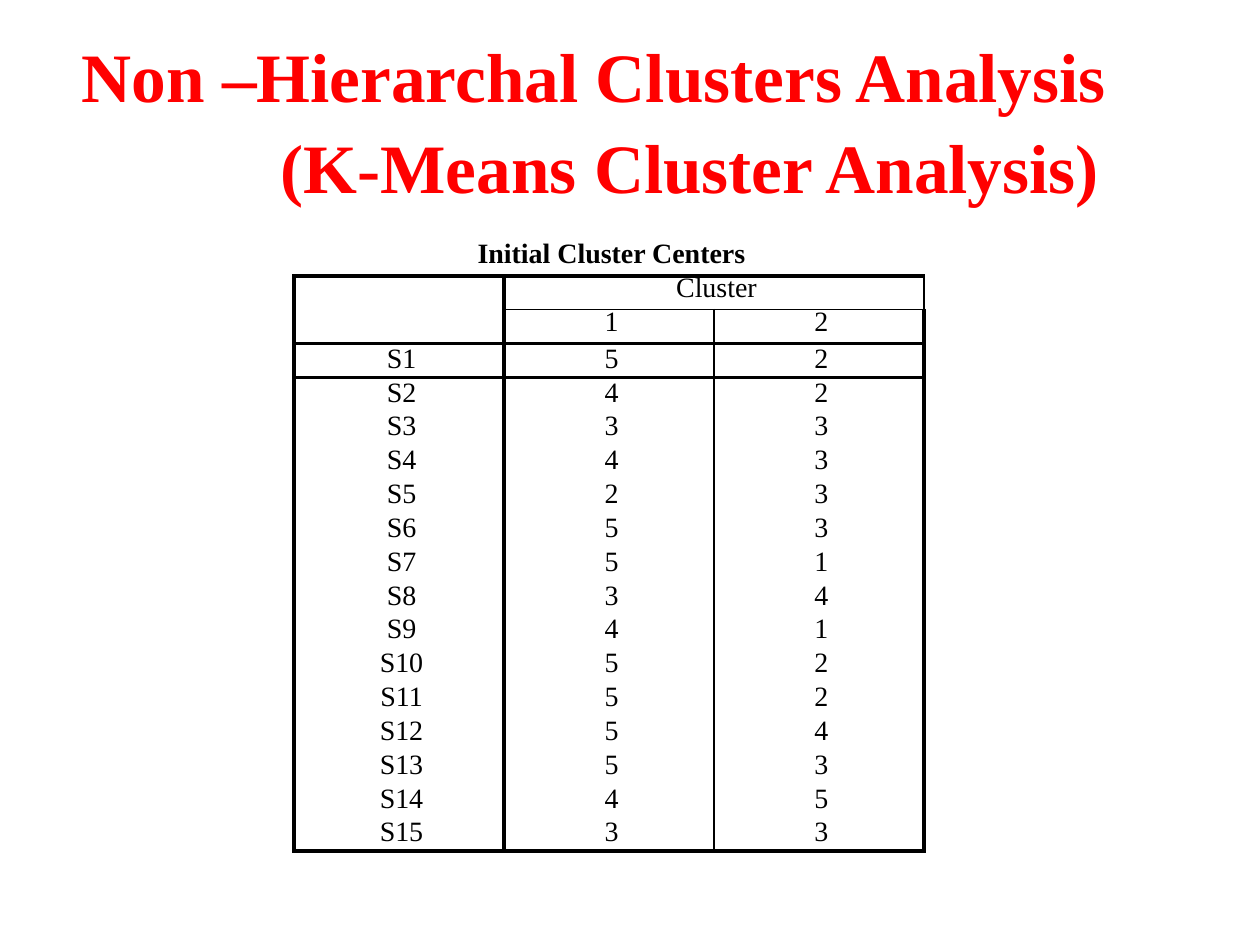
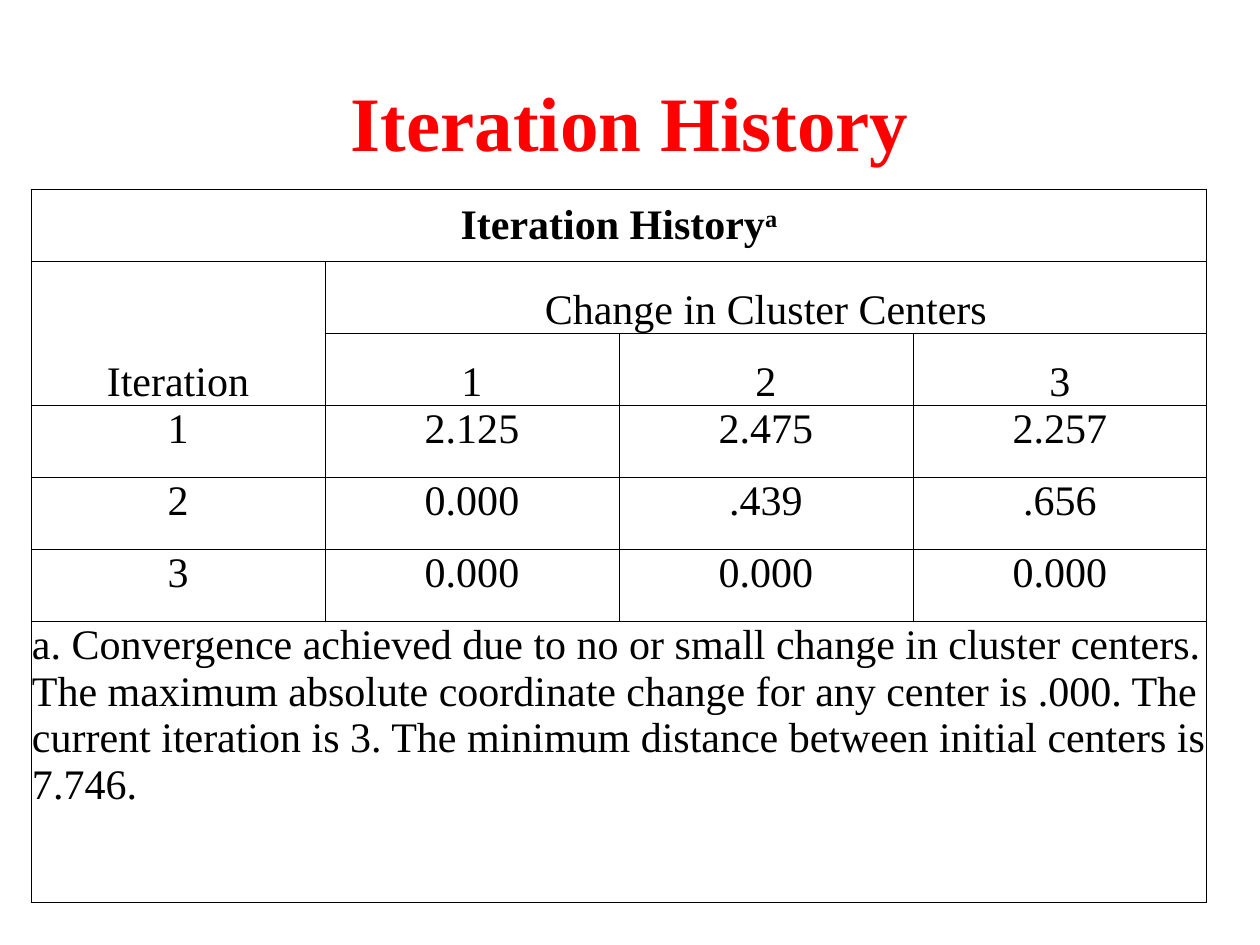
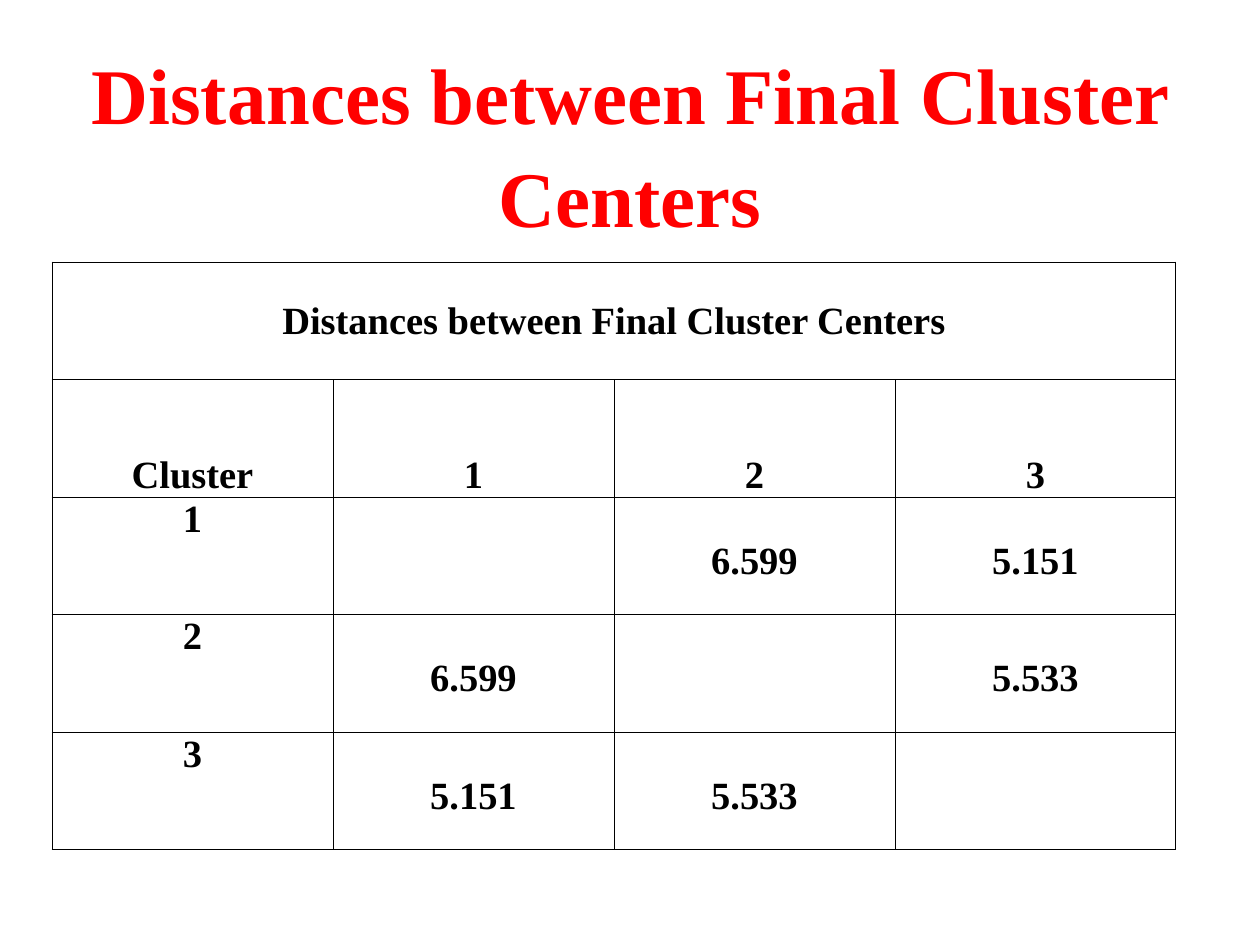
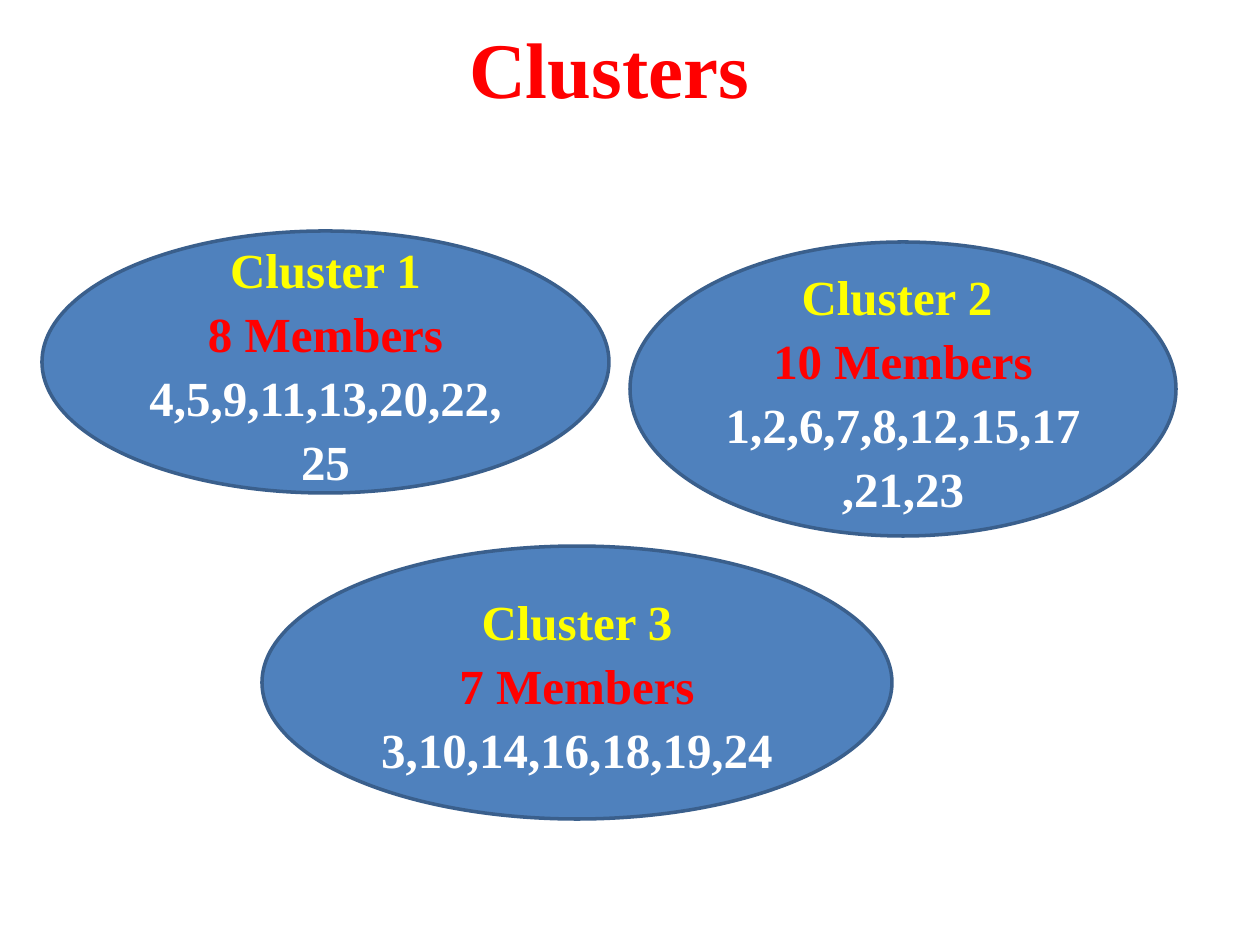
from lxml import etree
from pptx import Presentation
from pptx import util as u
from pptx.dml.color import RGBColor
from pptx.enum import shapes, text
from pptx.oxml import ns

COLORS = {
    "title": "FF0000",
    "ink": "000000",
    "paper": "FFFFFF",
    "oval": "4F81BD",
    "oval_line": "3A5F8C",
    "name": "FFFF00",
    "count": "FF0000",
    "members": "FFFFFF",
}
FONT = "Times New Roman"
PLAIN_TABLE = "{2D5ABB26-0587-4C30-8999-92F81FD0307C}"
TEXT_LEADING = 1.09
THICK, THIN, HAIR = 2.25, 1, 0.5
CENTER = text.PP_ALIGN.CENTER
TOP, MIDDLE, BOTTOM = (text.MSO_ANCHOR.TOP, text.MSO_ANCHOR.MIDDLE,
                       text.MSO_ANCHOR.BOTTOM)

CENTERS = [(5, 2), (4, 2), (3, 3), (4, 3), (2, 3), (5, 3), (5, 1), (3, 4),
           (4, 1), (5, 2), (5, 2), (5, 4), (5, 3), (4, 5), (3, 3)]
ITERATIONS = [
    ["1", "2.125", "2.475", "2.257"],
    ["2", "0.000", ".439", ".656"],
    ["3", "0.000", "0.000", "0.000"],
]
CONVERGENCE = (
    "a. Convergence achieved due to no or small change in cluster centers. "
    "The maximum absolute coordinate change for any center is .000. "
    "The current iteration is 3. "
    "The minimum distance between initial centers is 7.746.")
DISTANCES = [
    ["1", "", "6.599", "5.151"],
    ["2", "6.599", "", "5.533"],
    ["3", "5.151", "5.533", ""],
]
CLUSTERS = [
    ((42, 231, 567, 262),
     ["Cluster 1", "8 Members", "4,5,9,11,13,20,22,25"]),
    ((630, 242, 546, 294),
     ["Cluster 2 ", "10 Members", "1,2,6,7,8,12,15,17,21,23"]),
    ((262, 546, 630, 273),
     ["Cluster 3", "7 Members", "3,10,14,16,18,19,24"]),
]


def px(length):
    return u.Emu(round(length * 914400 / 126))


def color(name):
    return RGBColor.from_string(COLORS[name])


def style(para, size, ink="ink", bold=False, align=CENTER):
    para.alignment = align
    for span in para.runs:
        span.font.name = FONT
        span.font.size = u.Pt(size)
        span.font.bold = bold
        span.font.color.rgb = color(ink)


def indent(para, left=0, right=0):
    props = para._p.get_or_add_pPr()
    props.set("marL", str(px(left)))
    props.set("marR", str(px(right)))


def add_page(deck):
    return deck.slides.add_slide(deck.slide_layouts[6])


def add_title(page, box, lines, size):
    frame = page.shapes.add_textbox(*map(px, box)).text_frame
    frame.word_wrap = True
    frame.vertical_anchor = MIDDLE
    frame.text = "\n".join(lines)
    for para in frame.paragraphs:
        para.line_spacing = TEXT_LEADING
        style(para, size, "title", bold=True)
    return frame.paragraphs


def add_grid(page, box, heights, columns):
    """Add an unstyled table whose row heights are shares of the box."""
    left, top, width, height = box
    grid = page.shapes.add_table(len(heights), columns,
                                 *map(px, box)).table
    grid._tbl.tblPr.find(ns.qn("a:tableStyleId")).text = PLAIN_TABLE
    grid.first_row = grid.horz_banding = False
    for column in grid.columns:
        column.width = px(width / columns)
    for row, share in zip(grid.rows, heights):
        row.height = px(height * share / sum(heights))
    return grid


def merge(grid, first, last):
    grid.cell(*first).merge(grid.cell(*last))


def set_borders(cell, widths):
    """Draw the left, right, top and bottom borders; 0 leaves one out."""
    props = cell._tc.get_or_add_tcPr()
    for side, width in zip("LRTB", widths):
        if width:
            line = etree.SubElement(props, ns.qn(f"a:ln{side}"),
                                    w=str(u.Pt(width)))
            fill = etree.SubElement(line, ns.qn("a:solidFill"))
            etree.SubElement(fill, ns.qn("a:srgbClr"), val=COLORS["ink"])


def set_insets(cell, left, right, top, bottom):
    cell.margin_left, cell.margin_right = px(left), px(right)
    cell.margin_top, cell.margin_bottom = px(top), px(bottom)


def fill_cell(cell, words, size, anchor=TOP, bold=False, align=CENTER):
    cell.text = words
    cell.vertical_anchor = anchor
    style(cell.text_frame.paragraphs[0], size, bold=bold, align=align)


def rule_cells(grid):
    """Give every cell hairlines, narrow insets and no fill."""
    for cell in grid.iter_cells():
        set_borders(cell, [HAIR] * 4)
        set_insets(cell, 1, 1, 1, 0)
        cell.fill.background()


def rule_centers(grid):
    """Frame the header and body thickly and divide the clusters thinly."""
    verticals = [THICK, THICK, THIN, THICK]
    horizontals = {1: THICK, 2: THIN, 3: THICK, len(grid.rows): THICK}
    for row in range(len(grid.rows)):
        for col in range(3):
            cell = grid.cell(row, col)
            if not cell.is_spanned:
                high = cell.span_height if cell.is_merge_origin else 1
                wide = cell.span_width if cell.is_merge_origin else 1
                left = verticals[col] if row else 0
                right = verticals[col + wide] if row else 0
                if wide == 2:
                    right = THIN
                set_borders(cell, [left, right, horizontals.get(row, 0),
                                   horizontals.get(row + high, 0)])
            set_insets(cell, 0, 0, 0, 0)
            cell.fill.solid()
            cell.fill.fore_color.rgb = color("paper")
            para = cell.text_frame.paragraphs[0]
            para.line_spacing = u.Pt(16)
            indent(para, left=5)


def add_centers_table(page, box):
    grid = add_grid(page, box, [1] * (3 + len(CENTERS)), 3)
    merge(grid, (0, 0), (0, 2))
    merge(grid, (1, 0), (2, 0))
    merge(grid, (1, 1), (1, 2))
    fill_cell(grid.cell(0, 0), "Initial Cluster Centers", 16, bold=True)
    fill_cell(grid.cell(1, 1), "Cluster", 16)
    for cluster in (1, 2):
        fill_cell(grid.cell(2, cluster), str(cluster), 16)
    for number, values in enumerate(CENTERS, 1):
        for col, value in enumerate((f"S{number}", *values)):
            fill_cell(grid.cell(number + 2, col), str(value), 16, MIDDLE)
    rule_centers(grid)


def add_iteration_table(page, box):
    grid = add_grid(page, box, [72] * 6 + [281], 4)
    rule_cells(grid)
    merge(grid, (0, 0), (0, 3))
    merge(grid, (1, 0), (2, 0))
    merge(grid, (1, 1), (1, 3))
    merge(grid, (6, 0), (6, 3))
    heading = grid.cell(0, 0)
    fill_cell(heading, "Iteration History", 24, MIDDLE, bold=True)
    para = heading.text_frame.paragraphs[0]
    mark = para.add_run()
    mark.text = "a"
    style(para, 24, bold=True)
    mark._r.get_or_add_rPr().set("baseline", "30000")
    fill_cell(grid.cell(1, 0), "Iteration", 24, BOTTOM)
    fill_cell(grid.cell(1, 1), "Change in Cluster Centers", 24, BOTTOM)
    for cluster in (1, 2, 3):
        fill_cell(grid.cell(2, cluster), str(cluster), 24, BOTTOM)
    for row, values in enumerate(ITERATIONS, 3):
        for col, value in enumerate(values):
            fill_cell(grid.cell(row, col), value, 24)
    fill_cell(grid.cell(6, 0), CONVERGENCE, 24, align=text.PP_ALIGN.LEFT)


def add_distance_table(page, box):
    grid = add_grid(page, box, [1] * 5, 4)
    rule_cells(grid)
    merge(grid, (0, 0), (0, 3))
    fill_cell(grid.cell(0, 0), "Distances between Final Cluster Centers", 22,
              MIDDLE, bold=True)
    for col, label in enumerate(["Cluster", "1", "2", "3"]):
        fill_cell(grid.cell(1, col), label, 22, BOTTOM, bold=True)
    for row, values in enumerate(DISTANCES, 2):
        for col, value in enumerate(values):
            if value:
                cell = grid.cell(row, col)
                fill_cell(cell, value, 22, bold=True)
                if col:
                    cell.margin_top = px(43)


def add_cluster(page, box, lines):
    oval = page.shapes.add_shape(shapes.MSO_SHAPE.OVAL, *map(px, box))
    oval.shadow.inherit = False
    oval.fill.solid()
    oval.fill.fore_color.rgb = color("oval")
    oval.line.color.rgb = color("oval_line")
    oval.line.width = u.Pt(2)
    frame = oval.text_frame
    frame.word_wrap = True
    frame.vertical_anchor = MIDDLE
    frame.text = "\n".join(lines)
    for para, ink in zip(frame.paragraphs, ("name", "count", "members")):
        para.line_spacing = TEXT_LEADING
        style(para, 28, ink, bold=True)


def build_centers(deck):
    page = add_page(deck)
    first, second = add_title(
        page, (63, 38, 1134, 157),
        ["Non –Hierarchal Clusters Analysis", "(K-Means Cluster Analysis)"],
        39.6)
    indent(first, right=72)
    indent(second, left=120)
    add_centers_table(page, (294, 242, 630, 609))


def build_iterations(deck):
    page = add_page(deck)
    add_title(page, (63, 38, 1134, 157), ["Iteration History"], 44)
    add_iteration_table(page, (31, 189, 1176, 714))


def build_distances(deck):
    page = add_page(deck)
    add_title(page, (63, 38, 1134, 204),
              ["Distances between Final Cluster Centers"], 45)
    add_distance_table(page, (52, 262, 1124, 588))


def build_clusters(deck):
    page = add_page(deck)
    add_title(page, (21, 0, 1176, 126), ["Clusters"], 45)
    for box, lines in CLUSTERS:
        add_cluster(page, box, lines)


def main():
    deck = Presentation()
    deck.slide_width, deck.slide_height = px(1260), px(945)
    build_centers(deck)
    build_iterations(deck)
    build_distances(deck)
    build_clusters(deck)
    deck.save("out.pptx")


if __name__ == "__main__":
    main()
